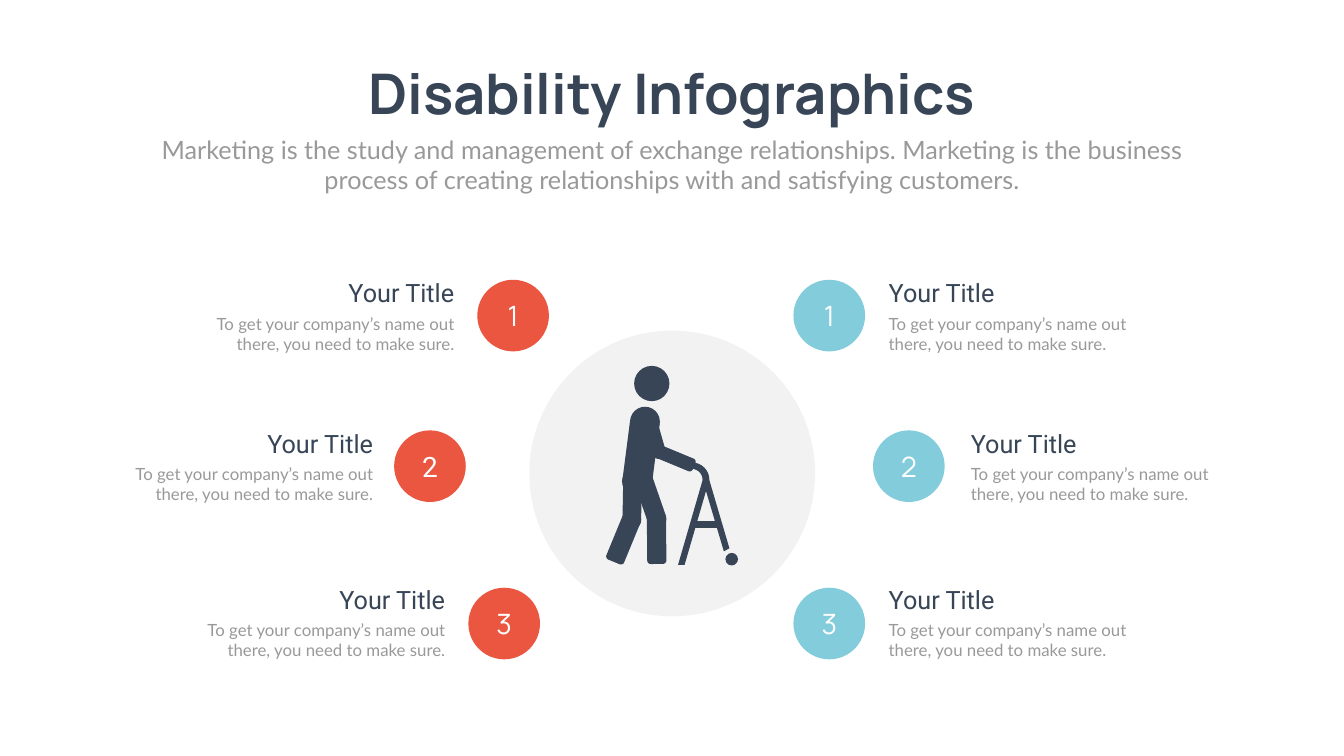
import math

import pptx
import pptx.dml.color
import pptx.enum.shapes
import pptx.enum.text
import pptx.util

Cm = pptx.util.Cm
ALIGN = pptx.enum.text.PP_ALIGN
ANCHOR = pptx.enum.text.MSO_ANCHOR
OVAL = pptx.enum.shapes.MSO_SHAPE.OVAL

THEME = {
    "ink": "374556", "muted": "999999", "paper": "FEFFFE", "disc": "F2F2F2",
    "red": "EB5640", "blue": "82CCDB", "white": "FFFFFF",
    "headline": ("Manrope", 80), "intro": ("Lato", 36), "item": ("Roboto", 36),
    "detail": ("Lato", 24), "number": ("Manrope", 40), "number_alt": ("Roboto", 40),
}

HEADLINE = "Disability Infographics"
INTRO = ("Marketing is the study and management of exchange relationships. "
         "Marketing is the business process of creating relationships with "
         "and satisfying customers.")
ITEM = "Your Title"
DETAIL = "To get your company’s name out there, you need to make sure."

# number, badge top, item top, item width
ROWS = [("1", 14.10, 13.87, 10.16), ("2", 21.69, 21.44, 8.28), ("3", 29.62, 29.31, 8.28)]
# colour, alignment, badge lefts, text edges, number styles
SIDES = [
    ("red", ALIGN.RIGHT, (24.05, 19.86, 23.60), (23.14, 19.05, 22.68),
     ("number", "number_alt", "number")),
    ("blue", ALIGN.LEFT, (39.98, 43.99, 39.98), (44.53, 48.67, 44.53),
     ("number",) * 3),
]
BADGE = 3.61
ITEM_HEIGHT, DETAIL_WIDTH, DETAIL_HEIGHT = 1.80, 13.03, 2.31

FIGURE_LEFT, FIGURE_TOP, FIGURE_UNIT = 30.48, 17.78, 2.54
# left, top, diameter
ROUNDS = {
    "head": (0.58, 0.26, 0.70), "shoulder": (0.50, 1.07, 0.59),
    "hip": (0.34, 2.26, 0.59), "wheel": (2.39, 3.97, 0.25),
}
# start, end, width, rounding at start, rounding at end
LIMBS = {
    "torso": ((0.80, 1.32), (0.63, 2.64), 0.59, 0.07, 0.07),
    "upper arm": ((0.86, 1.22), (1.11, 2.10), 0.27, 0.13, 0.13),
    "forearm": ((0.95, 1.91), (1.77, 2.25), 0.27, 0.13, 0.07),
    "rear thigh": ((0.55, 2.40), (0.53, 3.50), 0.37, 0.07, 0.18),
    "rear shin": ((0.60, 3.13), (0.18, 4.15), 0.38, 0.19, 0.07),
    "front thigh": ((0.73, 2.43), (1.09, 3.47), 0.38, 0.07, 0.19),
    "front shin": ((1.02, 3.10), (1.03, 4.19), 0.38, 0.19, 0.07),
}
HANDLE_OUTER = [(1.67, 2.18, 0), (2.07, 2.18, 0.34), (2.07, 2.52, 0)]
HANDLE_INNER = [(1.94, 2.52, 0), (1.94, 2.30, 0.22), (1.67, 2.30, 0)]
WALKER = {
    "rear leg": HANDLE_OUTER + [(1.58, 4.21, 0), (1.45, 4.21, 0)] + HANDLE_INNER,
    "front leg": HANDLE_OUTER + [(2.47, 3.88, 0), (2.36, 3.94, 0)] + HANDLE_INNER,
    "crossbar": [(1.74, 3.33, 0), (2.26, 3.33, 0), (2.26, 3.48, 0), (1.74, 3.48, 0)],
}


def color(key):
    return pptx.dml.color.RGBColor.from_string(THEME[key])


def paint(shape, key):
    shape.shadow.inherit = False
    shape.fill.solid()
    shape.fill.fore_color.rgb = color(key)
    shape.line.fill.background()


def write(frame, words, style, ink, align, anchor=ANCHOR.TOP, bold=False):
    frame.word_wrap = True
    frame.auto_size = pptx.enum.text.MSO_AUTO_SIZE.NONE
    frame.vertical_anchor = anchor
    paragraph = frame.paragraphs[0]
    paragraph.alignment = align
    paragraph.space_before = pptx.util.Pt(0)
    run = paragraph.add_run()
    run.text = words
    family, size = THEME[style]
    run.font.name, run.font.size = family, pptx.util.Pt(size)
    run.font.bold = bold
    run.font.color.rgb = color(ink)


def place(shape, left, top, width, height):
    shape.left, shape.top = Cm(left), Cm(top)
    shape.width, shape.height = Cm(width), Cm(height)


def add_round(shapes, left, top, size, key):
    disc = shapes.add_shape(OVAL, Cm(left), Cm(top), Cm(size), Cm(size))
    paint(disc, key)
    return disc


def add_text(shapes, left, top, width, height, words, style, ink, align):
    box = shapes.add_textbox(Cm(left), Cm(top), Cm(width), Cm(height))
    write(box.text_frame, words, style, ink, align)


def toward(a, b, share):
    return tuple(p + (q - p) * share for p, q in zip(a, b))


def rounded(corners, steps=8):
    points = []
    for i, (x, y, radius) in enumerate(corners):
        corner = (x, y)
        if not radius:
            points.append(corner)
            continue
        before = corners[i - 1][:2]
        after = corners[(i + 1) % len(corners)][:2]
        start = toward(corner, before, radius / math.dist(corner, before))
        end = toward(corner, after, radius / math.dist(corner, after))
        c1, c2 = toward(start, corner, 0.55), toward(end, corner, 0.55)
        for step in range(steps + 1):
            t = step / steps
            points.append(tuple(
                (1 - t) ** 3 * a + 3 * t * (1 - t) ** 2 * b + 3 * t * t * (1 - t) * c + t ** 3 * d
                for a, b, c, d in zip(start, c1, c2, end)))
    return points


def limb_corners(start, end, width, start_radius, end_radius):
    length = math.dist(start, end)
    dx = (end[1] - start[1]) / length * width / 2
    dy = (start[0] - end[0]) / length * width / 2
    return [(start[0] + dx, start[1] + dy, start_radius),
            (end[0] + dx, end[1] + dy, end_radius),
            (end[0] - dx, end[1] - dy, end_radius),
            (start[0] - dx, start[1] - dy, start_radius)]


def figure_point(x, y):
    return FIGURE_LEFT + x * FIGURE_UNIT, FIGURE_TOP + y * FIGURE_UNIT


def add_outline(shapes, corners):
    points = [tuple(Cm(v) for v in figure_point(*p)) for p in rounded(corners)]
    builder = shapes.build_freeform(*points[0], scale=1.0)
    builder.add_line_segments(points[1:], close=True)
    paint(builder.convert_to_shape(), "ink")


def main():
    deck = pptx.Presentation()
    deck.slide_width, deck.slide_height = Cm(67.72), Cm(38.10)
    slide = deck.slides.add_slide(deck.slide_layouts[0])
    slide.background.fill.solid()
    slide.background.fill.fore_color.rgb = color("paper")

    headline, intro = slide.placeholders
    place(headline, 17.04, 2.84, 33.63, 3.68)
    write(headline.text_frame, HEADLINE, "headline", "ink", ALIGN.CENTER, bold=True)
    place(intro, 7.42, 6.63, 52.88, 3.33)
    write(intro.text_frame, INTRO, "intro", "muted", ALIGN.CENTER)

    add_round(slide.shapes, 26.67, 16.66, 14.40, "disc")
    figure = slide.shapes.add_group_shape().shapes
    for left, top, size in ROUNDS.values():
        add_round(figure, *figure_point(left, top), size * FIGURE_UNIT, "ink")
    for limb in LIMBS.values():
        add_outline(figure, limb_corners(*limb))
    for corners in WALKER.values():
        add_outline(figure, corners)

    for key, align, badge_lefts, edges, styles in SIDES:
        for row, badge_left, edge, style in zip(ROWS, badge_lefts, edges, styles):
            number, badge_top, item_top, item_width = row
            badge = add_round(slide.shapes, badge_left, badge_top, BADGE, key)
            write(badge.text_frame, number, style, "white", ALIGN.CENTER, ANCHOR.MIDDLE)
            shift = 1 if align == ALIGN.RIGHT else 0
            add_text(slide.shapes, edge - shift * item_width, item_top,
                     item_width, ITEM_HEIGHT, ITEM, "item", "ink", align)
            add_text(slide.shapes, edge - shift * DETAIL_WIDTH, item_top + ITEM_HEIGHT,
                     DETAIL_WIDTH, DETAIL_HEIGHT, DETAIL, "detail", "muted", align)

    deck.save("out.pptx")


if __name__ == "__main__":
    main()
